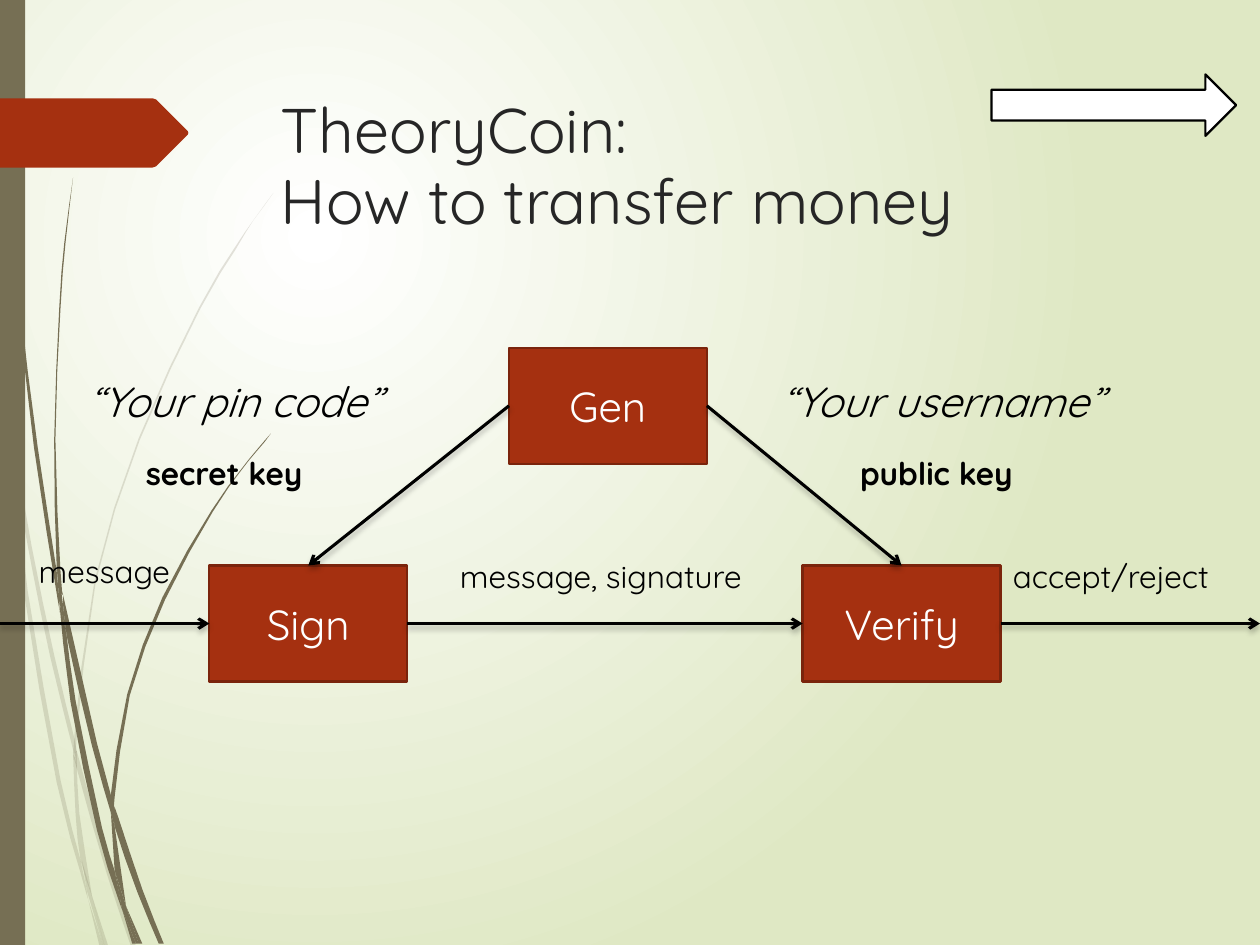
import pptx
import pptx.dml.color
import pptx.enum.shapes
import pptx.enum.text
import pptx.oxml
import pptx.oxml.ns
import pptx.util

Cm = pptx.util.Cm
Shapes = pptx.enum.shapes.MSO_SHAPE
Align = pptx.enum.text.PP_ALIGN
Anchor = pptx.enum.text.MSO_ANCHOR

THEME = {
    "font": "Quicksand", "title": 36, "large": 24, "label": 18,
    "title_color": "262626", "ink": "000000", "paper": "FFFFFF", "glow_edge": "DFE8C4",
    "accent": "A53010", "accent_line": "7A240C", "wisp": "766F54",
    "outline": 1.25, "arrow": 1.75,
}

# Content: lengths in centimetres
TITLE = "TheoryCoin:\nHow to transfer money"
BOX_SIZE = (3.99, 2.34)
BOXES = {"Gen": (10.26, 7.01), "Sign": (4.22, 11.4), "Verify": (16.18, 11.4)}
LABELS = [  # text, left, top, width, height, format
    ("message", 0.53, 11, 3.33, 1.02, {}),
    ("message, signature", 9.02, 11.1, 6.53, 1.02, {}),
    ("accept/reject", 20.17, 11.1, 4.93, 1.02, {}),
    ("secret key", 2.69, 9.02, 3.76, 1.02, {"bold": True}),
    ("public key", 17.09, 9.02, 3.81, 1.02, {"bold": True}),
    ("“Your username”", 15.49, 7.44, 7.57, 1.27, {"size": THEME["large"], "italic": True}),
    ("“Your pin code”", 1.52, 7.44, 7.21, 1.27, {"size": THEME["large"], "italic": True}),
]

# Decoration: both edges of every piece, from tip to tip, in grid units
GRID = Cm(0.0254)
FAINT_WISPS = [
    ([(0, 282), (6, 322), (8, 350)], [(0, 299), (7, 344), (8, 350)]),
    ([(10, 345), (25, 433), (43, 520), (59, 586)],
     [(10, 345), (12, 376), (25, 449), (40, 522), (59, 599)]),
    ([(61, 596), (64, 607), (88, 692), (108, 751)],
     [(61, 596), (61, 610), (85, 694), (104, 751)]),
    ([(73, 711), (86, 751)], [(73, 711), (83, 751)]),
    ([(8, 350), (12, 376), (22, 469), (48, 619), (64, 683), (70, 714)],
     [(8, 350), (19, 470), (45, 621), (64, 693), (70, 714)]),
    ([(58, 599), (61, 608), (63, 646), (73, 711)],
     [(58, 599), (60, 646), (64, 683), (73, 711)]),
    ([(217, 153), (201, 175), (186, 197), (158, 244), (110, 348), (75, 461), (59, 584), (61, 596)],
     [(217, 154), (201, 175), (187, 198), (159, 245), (111, 349), (76, 462), (61, 584), (61, 596)]),
    ([(70, 714), (82, 751)], [(70, 714), (79, 751)]),
    ([(59, 586), (61, 596), (61, 610)], [(59, 586), (58, 599), (61, 610)]),
    ([(65, 683), (69, 707), (82, 751)], [(65, 683), (73, 711), (83, 751)]),
]
SOLID_WISPS = [
    ([(2, 0), (3, 48), (5, 110), (14, 233), (27, 355), (46, 477), (47, 481)],
     [(3, 0), (4, 48), (6, 109), (15, 232), (30, 355), (45, 453), (47, 481)]),
    ([(50, 472), (53, 505), (73, 592), (88, 645)], [(50, 472), (77, 590), (88, 631)]),
    ([(91, 641), (94, 649), (113, 706), (130, 749)],
     [(91, 641), (91, 656), (109, 708), (126, 749)]),
    ([(47, 477), (53, 505), (60, 556), (81, 657), (91, 691), (97, 722)],
     [(47, 477), (56, 557), (77, 659), (92, 708), (97, 722)]),
    ([(58, 141), (51, 193), (47, 245), (43, 349), (45, 449), (49, 472)],
     [(58, 141), (52, 193), (48, 245), (44, 349), (48, 453), (50, 472)]),
    ([(100, 719), (113, 749)], [(100, 719), (110, 749)]),
    ([(45, 449), (49, 472), (53, 505)], [(45, 449), (47, 477), (53, 505)]),
    ([(215, 344), (203, 358), (191, 373), (168, 405), (129, 474), (101, 551), (88, 631), (91, 641)],
     [(216, 344), (203, 359), (191, 374), (169, 406), (131, 476), (103, 552), (91, 633), (91, 641)]),
    ([(97, 722), (108, 749)], [(97, 722), (105, 749)]),
    ([(88, 645), (91, 656), (100, 719)], [(88, 645), (91, 691), (100, 719)]),
    ([(88, 631), (91, 641), (91, 656)], [(88, 631), (88, 645), (91, 656)]),
    ([(91, 691), (100, 719), (110, 749)], [(91, 691), (97, 722), (108, 749)]),
]
BANNER = [(0, 78), (121, 78), (124, 79), (149, 104), (149.5, 105.5), (149, 107),
          (124, 132), (121, 133), (0, 133)]


def rgb(name):
    return pptx.dml.color.RGBColor.from_string(THEME[name])


def xml(markup):
    head, tail = markup.split(" ", 1)
    return pptx.oxml.parse_xml(f"{head} {pptx.oxml.ns.nsdecls('a')} {tail}")


def paint(shape, fill, line=None):
    shape.shadow.inherit = False
    shape.fill.solid()
    shape.fill.fore_color.rgb = rgb(fill)
    if line:
        shape.line.color.rgb = rgb(line)
        shape.line.width = pptx.util.Pt(THEME["outline"])
    else:
        shape.line.fill.background()


def write(shape, text, *, size=THEME["label"], color="ink", bold=False, italic=False,
          align=Align.LEFT, anchor=Anchor.TOP, wrap=True, spacing=1.0):
    frame = shape.text_frame
    frame.word_wrap = wrap
    frame.vertical_anchor = anchor
    paragraph = frame.paragraphs[0]
    paragraph.text = text
    paragraph.alignment = align
    paragraph.line_spacing = spacing
    for run in paragraph.runs:
        run.font.name = THEME["font"]
        run.font.size = pptx.util.Pt(size)
        run.font.bold = bold
        run.font.italic = italic
        run.font.color.rgb = rgb(color)


def smooth(anchors):
    """Add the Catmull-Rom midpoint between neighbouring anchors."""
    if len(anchors) < 4:
        return anchors
    padded = [anchors[0], *anchors, anchors[-1]]
    curve = []
    for a, b, c, d in zip(padded, padded[1:], padded[2:], padded[3:]):
        middle = tuple((9 * (q + r) - p - s) / 16 for p, q, r, s in zip(a, b, c, d))
        curve += [b, middle]
    return curve + [anchors[-1]]


def add_outline(slide, points, fill, opacity=100):
    points = [(x * GRID, y * GRID) for x, y in points]
    builder = slide.shapes.build_freeform(*points[0])
    builder.add_line_segments(points[1:], close=True)
    shape = builder.convert_to_shape()
    paint(shape, fill)
    if opacity < 100:
        color = shape._element.spPr.find(".//" + pptx.oxml.ns.qn("a:srgbClr"))
        color.append(xml(f'<a:alpha val="{opacity * 1000}"/>'))


def add_arrow(slide, start, end):
    arrow = slide.shapes.add_connector(
        pptx.enum.shapes.MSO_CONNECTOR.STRAIGHT, *map(Cm, (*start, *end)))
    arrow.line.color.rgb = rgb("ink")
    arrow.line.width = pptx.util.Pt(THEME["arrow"])
    arrow.line._get_or_add_ln().append(xml('<a:tailEnd type="arrow"/>'))
    # The leading space in the tag lets xml() place the namespace
    arrow._element.spPr.append(xml(
        '<a:effectLst ><a:outerShdw blurRad="38100" dist="25400" dir="5400000" rotWithShape="0">'
        f'<a:srgbClr val="{THEME["ink"]}"><a:alpha val="25000"/></a:srgbClr>'
        '</a:outerShdw></a:effectLst>'))


def set_background(slide):
    fill = slide.background.fill
    fill.gradient()
    for stop, name in zip(fill.gradient_stops, ("paper", "glow_edge")):
        stop.color.rgb = rgb(name)
    gradient = slide._element.find(".//" + pptx.oxml.ns.qn("a:gradFill"))
    gradient.remove(gradient.find(pptx.oxml.ns.qn("a:lin")))
    gradient.append(xml('<a:path path="circle"><a:fillToRect l="50000" t="50000" '
                        'r="100000" b="100000"/></a:path>'))


def main():
    presentation = pptx.Presentation()
    presentation.slide_width, presentation.slide_height = Cm(25.4), Cm(19.05)
    slide = presentation.slides.add_slide(presentation.slide_layouts[6])
    set_background(slide)

    # Wisps, side rail and banner
    for wisps, opacity in ((FAINT_WISPS, 20), (SOLID_WISPS, 100)):
        for near, far in wisps:
            add_outline(slide, smooth(near) + smooth(far)[::-1][:-1], "wisp", opacity)
    rail = slide.shapes.add_shape(Shapes.RECTANGLE, 0, 0, Cm(0.51), Cm(19.05))
    paint(rail, "wisp")
    add_outline(slide, BANNER, "accent")

    # Title and corner arrow
    title = slide.shapes.add_textbox(Cm(5.41), Cm(1.73), Cm(18.31), Cm(3.56))
    title.text_frame.margin_top = Cm(0.2)
    write(title, TITLE, size=THEME["title"], color="title_color", spacing=0.95)
    corner = slide.shapes.add_shape(Shapes.RIGHT_ARROW, Cm(19.99), Cm(1.5), Cm(4.93), Cm(1.24))
    paint(corner, "paper", "ink")

    # Boxes
    width, height = BOX_SIZE
    for name, (left, top) in BOXES.items():
        box = slide.shapes.add_shape(Shapes.RECTANGLE, *map(Cm, (left, top, width, height)))
        paint(box, "accent", "accent_line")
        write(box, name, size=THEME["large"], color="paper",
              align=Align.CENTER, anchor=Anchor.MIDDLE)

    # Arrows between box sides
    left_side = {name: (x, y + height / 2) for name, (x, y) in BOXES.items()}
    right_side = {name: (x + width, y + height / 2) for name, (x, y) in BOXES.items()}
    top_side = {name: (x + width / 2, y) for name, (x, y) in BOXES.items()}
    flow = left_side["Sign"][1]
    for start, end in [
        ((0, flow), left_side["Sign"]),
        (right_side["Sign"], left_side["Verify"]),
        (right_side["Verify"], (25.4, flow)),
        (left_side["Gen"], top_side["Sign"]),
        (right_side["Gen"], top_side["Verify"]),
    ]:
        add_arrow(slide, start, end)

    # Labels
    for text, *place, style in LABELS:
        label = slide.shapes.add_textbox(*map(Cm, place))
        write(label, text, wrap=False, **style)

    presentation.save("out.pptx")


if __name__ == "__main__":
    main()
